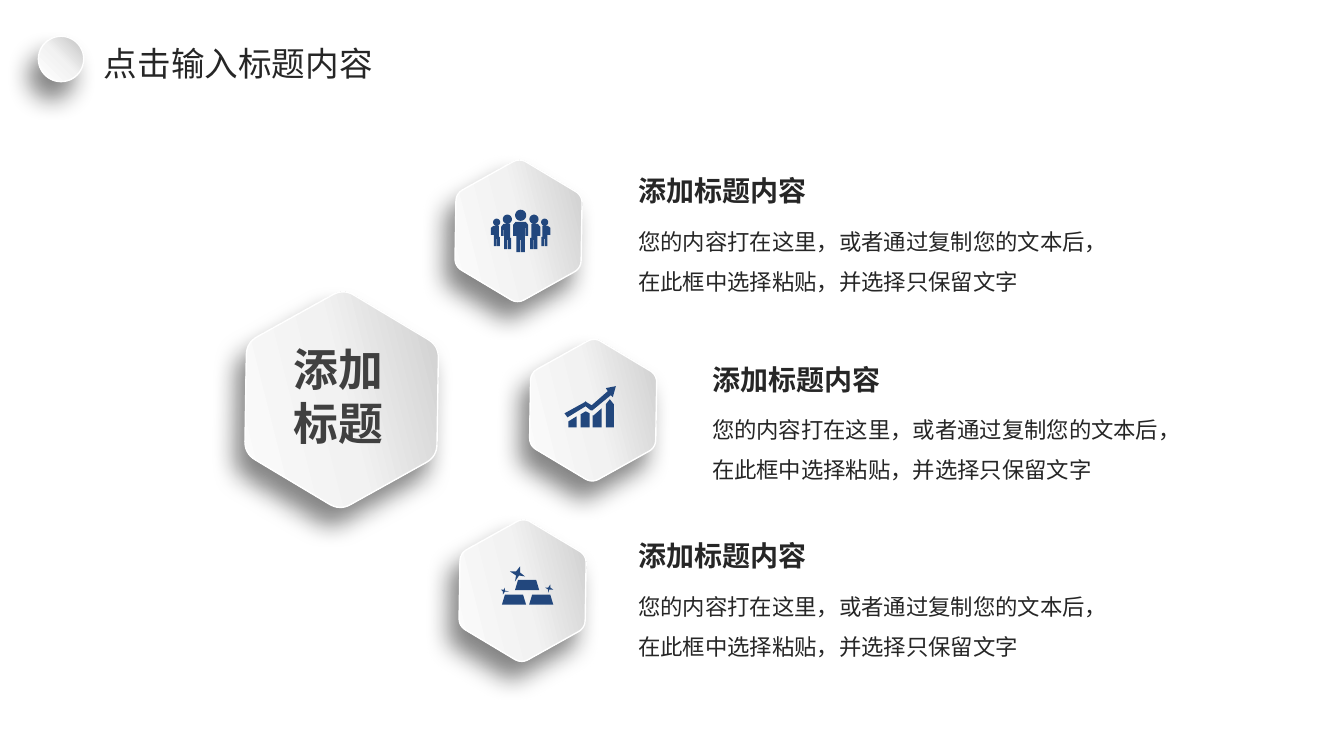
import math

from pptx import Presentation
from pptx.dml.color import RGBColor
from pptx.enum.shapes import MSO_SHAPE
from pptx.enum.text import MSO_ANCHOR, MSO_AUTO_SIZE, PP_ALIGN
from pptx.oxml import parse_xml
from pptx.oxml.ns import nsdecls, qn
from pptx.util import Pt

OVAL = MSO_SHAPE.OVAL
LEFT, CENTER = PP_ALIGN.LEFT, PP_ALIGN.CENTER
TOP, MIDDLE = MSO_ANCHOR.TOP, MSO_ANCHOR.MIDDLE
GROW, FIXED = MSO_AUTO_SIZE.SHAPE_TO_FIT_TEXT, MSO_AUTO_SIZE.NONE

HEADING = "添加标题内容"
DETAIL = "您的内容打在这里，或者通过复制您的文本后，在此框中选择粘贴，并选择只保留文字"


def rgb(value):
    return RGBColor.from_string(value)


def disc(x, y, radius, steps=32):
    turns = [2 * math.pi * i / steps for i in range(steps)]
    return [(x + radius * math.cos(t), y + radius * math.sin(t)) for t in turns]


def mirror(outline):
    return [(-x, y) for x, y in reversed(outline)]


def shift(outline, dx, dy):
    return [(x + dx, y + dy) for x, y in outline]


def rounded_hexagon(radius, cut=0.11, steps=8):
    corners = [(radius * math.cos(math.radians(a)), radius * math.sin(math.radians(a)))
               for a in range(0, 360, 60)]
    outline = []
    for i, (x, y) in enumerate(corners):
        (px, py), (nx, ny) = corners[i - 1], corners[(i + 1) % 6]
        for step in range(steps + 1):
            t = step / steps
            back, ahead = cut * (1 - t) ** 2, cut * t ** 2
            outline.append((x + back * (px - x) + ahead * (nx - x),
                            y + back * (py - y) + ahead * (ny - y)))
    return outline


def people_icon():
    half_leader = [(0, 12), (5, 12), (7.5, 15), (7.5, 26), (4.6, 26), (4.6, 18),
                   (4.3, 18), (4.3, 42), (0.4, 42), (0.4, 30), (0, 30)]
    inner = [(9.5, 28), (9.5, 39), (12.5, 39), (12.5, 30), (13.2, 30), (13.2, 39),
             (16.5, 39), (16.5, 20), (16.8, 20), (16.8, 26), (19.5, 26), (19.5, 17),
             (17, 14), (10.5, 14), (10.5, 28)]
    outer = [(20.5, 27), (20.5, 36), (23.3, 36), (23.3, 29), (23.9, 29), (23.9, 36),
             (26.5, 36), (26.5, 20), (26.8, 20), (26.8, 25), (29.5, 25), (29.5, 18),
             (27, 16), (21.5, 16), (21.5, 27)]
    side = [inner, outer, disc(13.2, 9.4, 4.5), disc(23.8, 12.4, 3.5)]
    leader = [half_leader + mirror(half_leader), disc(0, 5.5, 5.5)]
    return leader + side + [mirror(part) for part in side]


def growth_icon():
    arrow = [(0, 27), (20, 16), (21, 15), (22, 16), (27, 19), (43, 5), (41, 2), (51, 0),
             (48, 11), (46, 9), (29, 23), (28, 24), (26, 24), (21, 20), (3, 31)]
    bar_tops = [[(4, 35), (12, 30)], [(16, 28), (21, 25), (25, 27)],
                [(28, 29), (29, 29), (37, 22)], [(41, 18), (45, 13), (49, 18)]]
    return [arrow] + [top + [(top[-1][0], 41), (top[0][0], 41)] for top in bar_tops]


def gold_icon():
    ingot = [(4, 28), (22, 28), (25, 38), (1, 38)]
    sparkles = [
        [(19, 0), (19, 6), (24, 10), (18, 9), (14, 15), (15, 9), (9, 5), (15, 5)],
        [(4, 21), (3, 23), (0, 23), (2, 25), (2, 28), (4, 25), (8, 25), (4, 24)],
        [(49, 18), (49, 21), (52, 23), (48, 23), (47, 26), (47, 23), (44, 21), (47, 21)],
    ]
    return [shift(ingot, *move) for move in ((0, 0), (27, 0), (13, -14.5))] + sparkles


class Deck:
    font = "Noto Sans CJK SC"
    ink = "262626"
    core_ink = "404040"
    icon_blue = "22477D"
    edge = "FFFFFF"
    gradient = ((0, "BFBFBF"), (50, "F2F2F2"), (100, "FFFFFF"))
    icon_unit = 0.72

    def __init__(self):
        self.show = Presentation()
        self.show.slide_width, self.show.slide_height = Pt(960), Pt(540)
        self.slide = self.show.slides.add_slide(self.show.slide_layouts[6])

    def raise_surface(self, shape):
        props = shape._element.spPr
        stops = "".join(f'<a:gs pos="{pos * 1000}"><a:srgbClr val="{color}"/></a:gs>'
                        for pos, color in self.gradient)
        props.insert(2, parse_xml(
            f'<a:gradFill {nsdecls("a")} rotWithShape="1"><a:gsLst>{stops}</a:gsLst>'
            '<a:lin ang="8100000" scaled="0"/></a:gradFill>'))
        shape.line.color.rgb = rgb(self.edge)
        shape.line.width = Pt(1)
        shape.shadow.inherit = False
        props.find(qn("a:effectLst")).append(parse_xml(
            f'<a:outerShdw {nsdecls("a")} blurRad="{Pt(17)}" dist="{Pt(14)}" dir="7200000" '
            'algn="ctr" rotWithShape="0"><a:srgbClr val="0D0D0D"><a:alpha val="50000"/>'
            '</a:srgbClr></a:outerShdw>'))

    def outline(self, contours, x, y, scale=1):
        placed = [[(Pt(x + px * scale), Pt(y + py * scale)) for px, py in contour]
                  for contour in contours]
        builder = self.slide.shapes.build_freeform(*placed[0][0])
        for i, contour in enumerate(placed):
            if i:
                builder.move_to(*contour[0])
            builder.add_line_segments(contour[1:], close=True)
        return builder.convert_to_shape()

    def hexagon(self, x, y, radius):
        tile = self.outline([rounded_hexagon(radius)], x, y)
        tile.rotation = 30.9
        self.raise_surface(tile)

    def icon(self, contours, x, y):
        symbol = self.outline(contours, x, y, self.icon_unit)
        symbol.fill.solid()
        symbol.fill.fore_color.rgb = rgb(self.icon_blue)
        symbol.line.fill.background()
        symbol.shadow.inherit = False

    def ball(self, x, y, size):
        self.raise_surface(self.slide.shapes.add_shape(OVAL, Pt(x), Pt(y), Pt(size), Pt(size)))

    def text(self, words, box, size, bold=False, color=ink, align=LEFT, anchor=TOP,
             insets=(9.6, 4.8), fit=GROW, spacing=None):
        frame = self.slide.shapes.add_textbox(*map(Pt, box)).text_frame
        frame.word_wrap = True
        frame.auto_size = fit
        frame.vertical_anchor = anchor
        frame.margin_left = frame.margin_right = Pt(insets[0])
        frame.margin_top = frame.margin_bottom = Pt(insets[1])
        frame.text = words
        for paragraph in frame.paragraphs:
            paragraph.alignment = align
            if spacing:
                paragraph.line_spacing = spacing
            for run in paragraph.runs:
                run.font.size = Pt(size)
                run.font.bold = bold
                run.font.color.rgb = rgb(color)
                run.font.name = self.font
                run._r.get_or_add_rPr().append(
                    parse_xml(f'<a:ea {nsdecls("a")} typeface="{self.font}"/>'))

    def entry(self, x, y):
        self.text(HEADING, (x, y, 246.2, 33.8), 20, bold=True)
        self.text(DETAIL, (x, y + 28.8, 349.9, 67.7), 16, spacing=1.5)


def main():
    deck = Deck()
    deck.hexagon(244.1, 285.5, 79.2)
    deck.text("添加\n标题", (185.8, 240.5, 111.6, 84.2), 32, bold=True,
              color=deck.core_ink, align=CENTER, insets=(7.2, 3.6))
    items = [
        ((370.4, 164.9), (446.4, 119.5), people_icon(), (371.9, 149.8)),
        ((423.7, 293), (499, 254.2), growth_icon(), (403.2, 275.8)),
        ((373.3, 421.9), (446.4, 380.2), gold_icon(), (357.8, 404.6)),
    ]
    for tile_center, entry_corner, symbol, symbol_origin in items:
        deck.hexagon(*tile_center, 52)
        deck.entry(*entry_corner)
        deck.icon(symbol, *symbol_origin)
    deck.text("点击输入标题内容", (74.2, 25.2, 223.2, 39.6), 24, anchor=MIDDLE,
              insets=(0, 3.6), fit=FIXED)
    deck.ball(27.4, 25.9, 32.4)
    deck.show.save("out.pptx")


if __name__ == "__main__":
    main()
